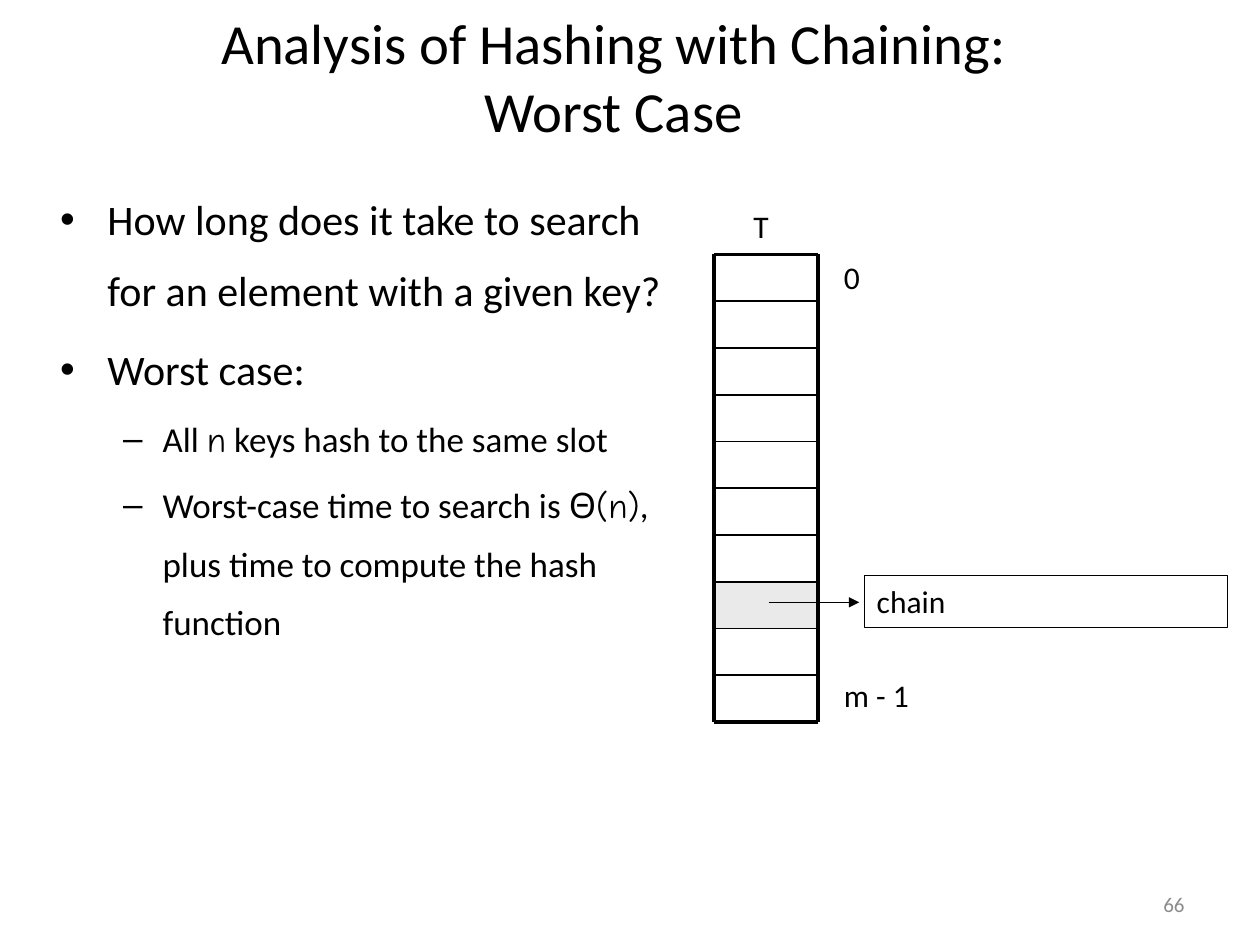
from dataclasses import dataclass

import lxml.etree
import pptx
import pptx.dml.color
import pptx.enum.shapes
import pptx.enum.text
import pptx.oxml.ns
import pptx.util

Pt = pptx.util.Pt
Align = pptx.enum.text.PP_ALIGN
Anchor = pptx.enum.text.MSO_ANCHOR
qn = pptx.oxml.ns.qn
BLACK = "000000"
SANS, COMIC = "Calibri", "Comic Neue"


@dataclass
class Box:
    left: float
    top: float
    width: float
    height: float


@dataclass
class Label:
    text: str
    box: Box


@dataclass
class Bullet:
    mark: str
    size: float
    margin: float
    hang: float
    runs: list[tuple[str, str]]


def tint(hue: str) -> pptx.dml.color.RGBColor:
    return pptx.dml.color.RGBColor.from_string(hue)


def add_run(para, text: str, size: float, font: str = SANS, hue: str = BLACK) -> None:
    run = para.add_run()
    run.text = text
    run.font.size = Pt(size)
    run.font.name = font
    run.font.color.rgb = tint(hue)


def add_box(slide, box: Box, wrap: bool = True):
    """Add an empty text box and return its text frame."""
    shape = slide.shapes.add_textbox(
        Pt(box.left), Pt(box.top), Pt(box.width), Pt(box.height))
    shape.text_frame.word_wrap = wrap
    return shape.text_frame


def add_rect(slide, box: Box, fill: str = "", line: str = ""):
    shape = slide.shapes.add_shape(
        pptx.enum.shapes.MSO_SHAPE.RECTANGLE,
        Pt(box.left), Pt(box.top), Pt(box.width), Pt(box.height))
    shape.shadow.inherit = False
    if fill:
        shape.fill.solid()
        shape.fill.fore_color.rgb = tint(fill)
    else:
        shape.fill.background()
    if line:
        shape.line.color.rgb = tint(line)
        shape.line.width = Pt(0.75)
    else:
        shape.line.fill.background()
    return shape


def add_line(slide, x1: float, y1: float, x2: float, y2: float,
             width: float, arrow: bool = False) -> None:
    line = slide.shapes.add_connector(
        pptx.enum.shapes.MSO_CONNECTOR.STRAIGHT, Pt(x1), Pt(y1), Pt(x2), Pt(y2))
    line.line.color.rgb = tint(BLACK)
    line.line.width = Pt(width)
    if arrow:
        lxml.etree.SubElement(line.line._get_or_add_ln(), qn("a:tailEnd"), type="triangle")
    lxml.etree.SubElement(line._element.spPr, qn("a:effectLst"))


def add_bullet(para, item: Bullet, first: bool) -> None:
    props = para._p.get_or_add_pPr()
    props.set("marL", str(Pt(item.margin)))
    props.set("indent", str(-Pt(item.hang)))
    lxml.etree.SubElement(props, qn("a:buFont"), typeface="Arial")
    lxml.etree.SubElement(props, qn("a:buChar"), char=item.mark)
    para.line_spacing = 1.4
    para.space_before = Pt(0 if first else item.size * 0.2)
    for text, font in item.runs:
        add_run(para, text, item.size, font)


def add_title(slide) -> None:
    frame = add_box(slide, Box(26.64, 7.92, 648, 71.28))
    frame.vertical_anchor = Anchor.MIDDLE
    para = frame.paragraphs[0]
    para.alignment = Align.CENTER
    add_run(para, "Analysis of Hashing with Chaining:", 32.4)
    para.add_line_break()
    add_run(para, "Worst Case", 32.4)


def add_body(slide) -> None:
    main = ("•", 24, 27, 27)
    sub = ("–", 20, 58.5, 22.5)
    items = [
        Bullet(*main, [("How long does it take to search for an element "
                        "with a given key?", SANS)]),
        Bullet(*main, [("Worst case:", SANS)]),
        Bullet(*sub, [("All ", SANS), ("n", COMIC),
                      (" keys hash to the same slot", SANS)]),
        Bullet(*sub, [("Worst-case time to search is ", SANS), ("Θ(n)", COMIC),
                      (", plus time to compute the hash function", SANS)]),
    ]
    frame = add_box(slide, Box(27.36, 95.76, 369.36, 424.8))
    for i, item in enumerate(items):
        para = frame.add_paragraph() if i else frame.paragraphs[0]
        add_bullet(para, item, i == 0)


def add_table(slide) -> None:
    """Draw the hash table T with its slots, labels and one chain."""
    left, right, top, step, count, used = 408.24, 467.28, 145.44, 26.71, 10, 7
    end = top + count * step
    add_rect(slide, Box(left, top + used * step, right - left, step), fill="EAEAEA")
    for i in range(count + 1):
        y = top + i * step
        add_line(slide, left, y, right, y, 2.25 if i in (0, count) else 1)
    for x in (left, right):
        add_line(slide, x, top, x, end, 2.25)

    labels = [
        Label("0", Box(475.2, 144, 24.48, 28.8)),
        Label("m - 1", Box(475.2, 383.04, 55.44, 28.8)),
        Label("T", Box(423.36, 114.48, 25.2, 28.8)),
    ]
    for label in labels:
        frame = add_box(slide, label.box, wrap=False)
        add_run(frame.paragraphs[0], label.text, 18)

    add_line(slide, 439.2, 344.16, 491.04, 344.16, 0.75, arrow=True)
    chain = add_rect(slide, Box(493.92, 329.04, 207.36, 29.52), line=BLACK)
    chain.text_frame.word_wrap = True
    chain.text_frame.vertical_anchor = Anchor.TOP
    para = chain.text_frame.paragraphs[0]
    para.alignment = Align.LEFT
    add_run(para, "chain", 18)


def add_number(slide) -> None:
    frame = add_box(slide, Box(516.24, 504, 167.76, 25.2))
    frame.vertical_anchor = Anchor.MIDDLE
    para = frame.paragraphs[0]
    para.alignment = Align.RIGHT
    add_run(para, "66", 12, hue="8C8C8C")


def main() -> None:
    deck = pptx.Presentation()
    deck.slide_width, deck.slide_height = Pt(720), Pt(540)
    slide = deck.slides.add_slide(deck.slide_layouts[6])
    add_number(slide)
    add_title(slide)
    add_body(slide)
    add_table(slide)
    deck.save("out.pptx")


if __name__ == "__main__":
    main()
